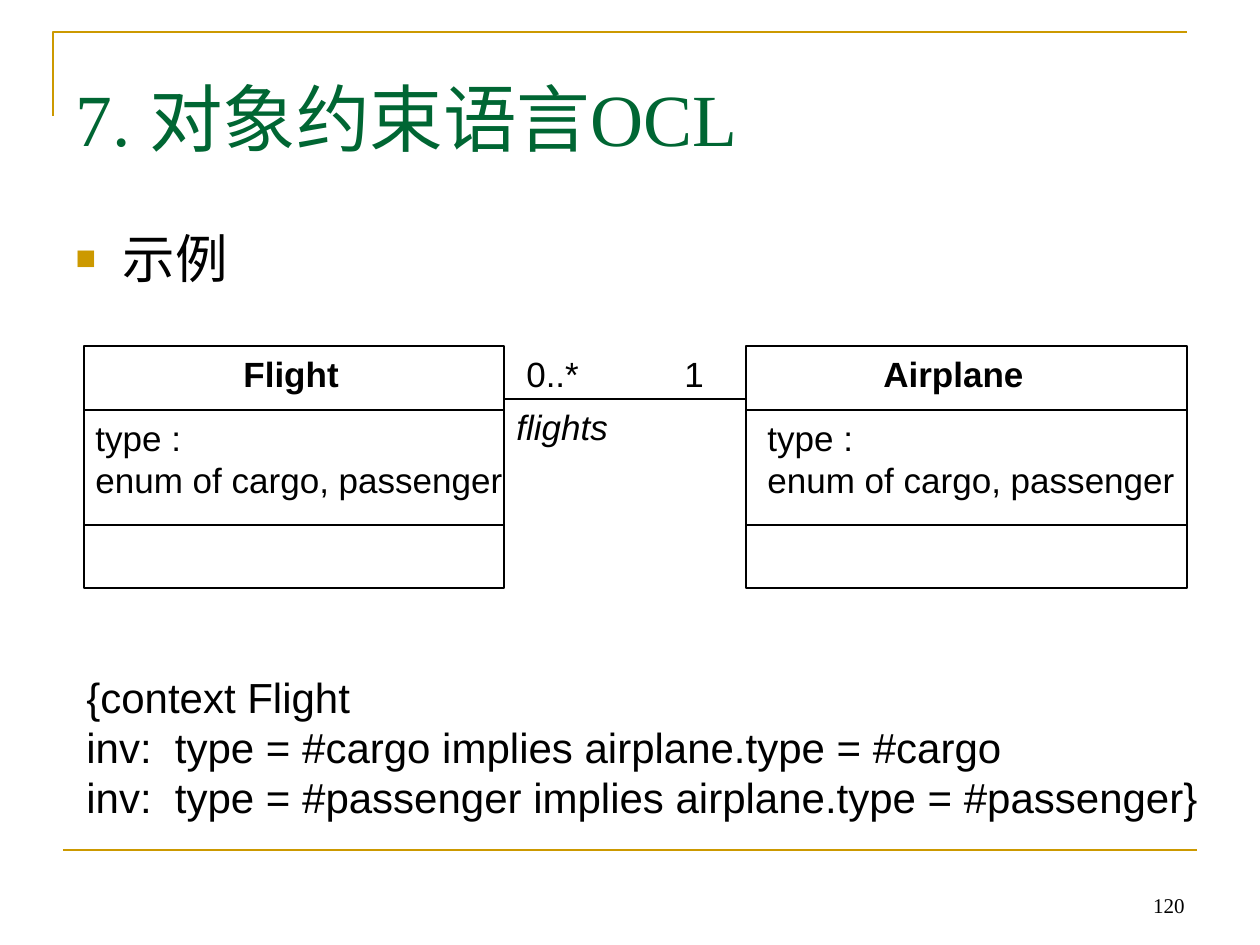
from lxml.etree import SubElement
from pptx import Presentation
from pptx.dml.color import RGBColor
from pptx.enum.shapes import MSO_CONNECTOR, MSO_SHAPE
from pptx.enum.text import MSO_ANCHOR, MSO_AUTO_SIZE, PP_ALIGN
from pptx.oxml.ns import qn
from pptx.util import Pt

PX = 914400 // 126
GOLD = RGBColor(0xCC, 0x99, 0x00)
GREEN = RGBColor(0x00, 0x66, 0x33)
BLACK = RGBColor(0x00, 0x00, 0x00)

presentation = Presentation()
presentation.slide_width = 1260 * PX
presentation.slide_height = 945 * PX
slide = presentation.slides.add_slide(presentation.slide_layouts[1])
shapes = slide.shapes


def add_line(x1, y1, x2, y2, color=BLACK, width=1):
    line = shapes.add_connector(
        MSO_CONNECTOR.STRAIGHT, x1 * PX, y1 * PX, x2 * PX, y2 * PX)
    line.line.color.rgb = color
    line.line.width = Pt(width)
    SubElement(line._element.spPr, qn("a:effectLst"))


def add_label(text, left, top, width, height, size=20, name="Arial"):
    """Add an unwrapped text box and return its text frame."""
    box = shapes.add_textbox(left * PX, top * PX, width * PX, height * PX)
    frame = box.text_frame
    frame.word_wrap = False
    frame.text = text
    for paragraph in frame.paragraphs:
        font = paragraph.runs[0].font
        font.name, font.size, font.color.rgb = name, Pt(size), BLACK
    return frame


# Gold corner and footer rule
builder = shapes.build_freeform(53 * PX, 116 * PX)
builder.add_line_segments([(53 * PX, 32 * PX), (1187 * PX, 32 * PX)], close=False)
corner = builder.convert_to_shape()
corner.shadow.inherit = False
corner.fill.background()
corner.line.color.rgb = GOLD
corner.line.width = Pt(1.5)
add_line(63, 850, 1197, 850, GOLD, 1.5)

number = add_label("120", 903, 861, 294, 63, 12, "Times New Roman")
number.word_wrap = True
number.vertical_anchor = MSO_ANCHOR.BOTTOM
number.paragraphs[0].alignment = PP_ALIGN.RIGHT

# Title and bulleted heading
title, body = shapes.title, slide.placeholders[1]
for placeholder, text, top, height, name, size, color, anchor in (
    (title, "7. 对象约束语言OCL", 38, 158, "Times New Roman", 42, GREEN, MSO_ANCHOR.MIDDLE),
    (body, "示例", 220, 624, "Arial", 30, BLACK, MSO_ANCHOR.TOP),
):
    placeholder.left, placeholder.top = 63 * PX, top * PX
    placeholder.width, placeholder.height = 1134 * PX, height * PX
    frame = placeholder.text_frame
    frame.text = text
    frame.auto_size = MSO_AUTO_SIZE.NONE
    frame.vertical_anchor = anchor
    paragraph = frame.paragraphs[0]
    paragraph.alignment = PP_ALIGN.LEFT
    paragraph.space_before = Pt(0)
    font = paragraph.runs[0].font
    font.name, font.size, font.color.rgb = name, Pt(size), color

properties = body.text_frame.paragraphs[0]._p.get_or_add_pPr()
properties.set("marL", str(47 * PX))
properties.set("indent", str(-47 * PX))
bullet_color = SubElement(properties, qn("a:buClr"))
SubElement(bullet_color, qn("a:srgbClr"), val=str(GOLD))
SubElement(properties, qn("a:buSzPct"), val="65000")
SubElement(properties, qn("a:buFont"), typeface="Arial")
SubElement(properties, qn("a:buChar"), char="■")

# Class boxes: name, attributes, operations
for class_name, left, width, name_left, name_width, attribute_left in (
    ("Flight", 84, 420, 231, 121, 83),
    ("Airplane", 746, 441, 871, 166, 755),
):
    box = shapes.add_shape(
        MSO_SHAPE.RECTANGLE, left * PX, 346 * PX, width * PX, 242 * PX)
    box.shadow.inherit = False
    box.fill.background()
    box.line.color.rgb = BLACK
    box.line.width = Pt(1)
    for divider in (410, 525):
        add_line(left, divider, left + width, divider)
    heading = add_label(class_name, name_left, 346, name_width, 54)
    heading.paragraphs[0].runs[0].font.bold = True
    add_label("type :\nenum of cargo, passenger", attribute_left, 410, 433, 97)

# Association between the classes
add_line(504, 399, 746, 399)
add_label("0..*", 514, 346, 78, 54)
add_label("1", 672, 346, 45, 54)
role = add_label("flights", 504, 399, 117, 54)
role.paragraphs[0].runs[0].font.italic = True

# OCL constraint
add_label(
    "{context Flight\n"
    "inv:  type = #cargo implies airplane.type = #cargo\n"
    "inv:  type = #passenger implies airplane.type = #passenger}",
    74, 665, 1137, 164, 24)

presentation.save("out.pptx")
